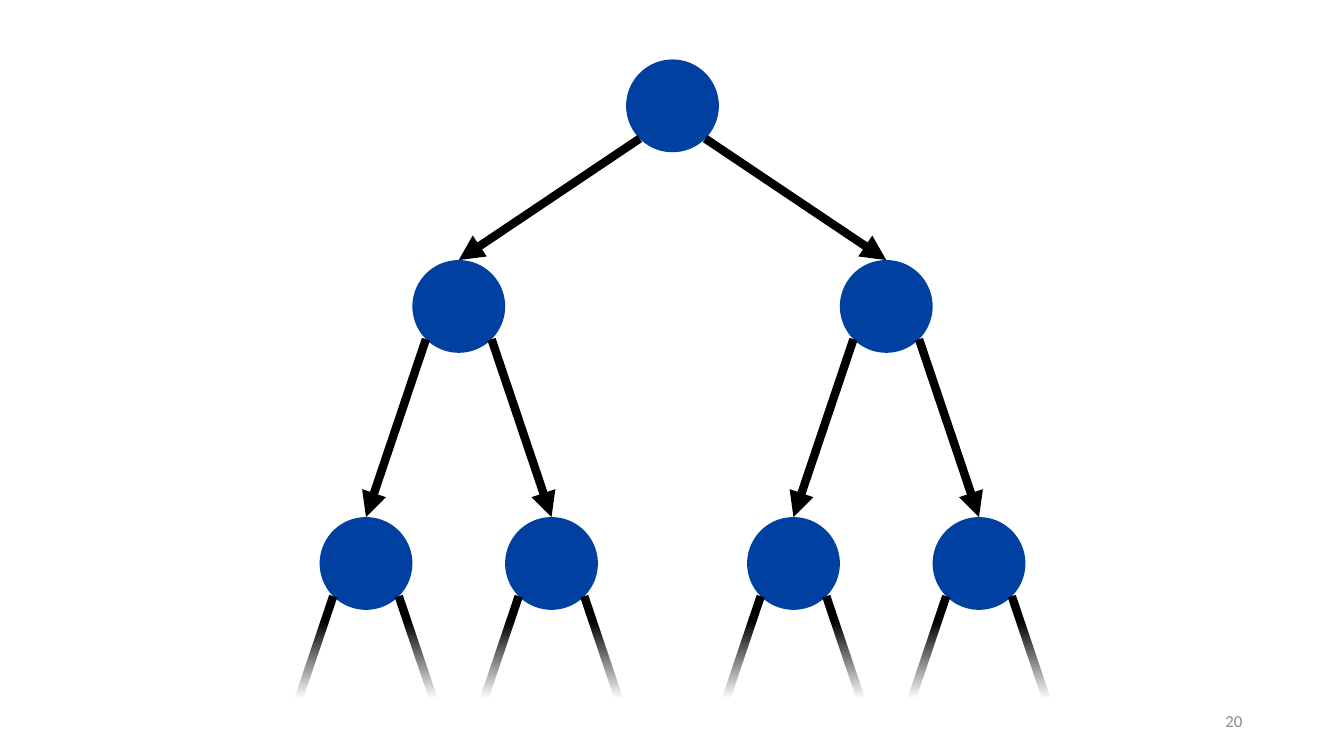
from math import sqrt

from lxml.etree import SubElement
from pptx import Presentation
from pptx.dml.color import RGBColor
from pptx.enum.shapes import MSO_CONNECTOR, MSO_SHAPE
from pptx.enum.text import MSO_ANCHOR, PP_ALIGN
from pptx.oxml.ns import qn
from pptx.util import Inches, Pt

BLUE = RGBColor(0x00, 0x40, 0xA0)
BLACK = RGBColor(0x00, 0x00, 0x00)
WHITE = RGBColor(0xFF, 0xFF, 0xFF)
GRAY = RGBColor(0x8C, 0x8C, 0x8C)

RADIUS = 0.46
LEVEL_HEIGHTS = [1.05, 3.04, 5.59, 8.14]
CHILD_OFFSETS = [2.12, 0.92, 0.92]


class TreeSlide:
    font_name = "Calibri"
    arrow_width = Pt(6)

    def __init__(self, deck):
        self.page = deck.slides.add_slide(deck.slide_layouts[6])

    def add_node(self, x, y):
        node = self.page.shapes.add_shape(
            MSO_SHAPE.OVAL, Inches(x - RADIUS), Inches(y - RADIUS),
            Inches(2 * RADIUS), Inches(2 * RADIUS))
        node.shadow.inherit = False
        node.fill.solid()
        node.fill.fore_color.rgb = BLUE
        node.line.fill.background()

    def add_arrow(self, start_x, start_y, end_x, end_y):
        arrow = self.page.shapes.add_connector(
            MSO_CONNECTOR.STRAIGHT, Inches(start_x), Inches(start_y),
            Inches(end_x), Inches(end_y))
        arrow.line.color.rgb = BLACK
        arrow.line.width = self.arrow_width
        SubElement(arrow.line._get_or_add_ln(), qn("a:tailEnd"), type="triangle")
        SubElement(arrow._element.spPr, qn("a:effectLst"))

    def add_tree(self, x, level=0):
        y = LEVEL_HEIGHTS[level]
        self.add_node(x, y)
        edge = RADIUS / sqrt(2)
        for side in (-1, 1):
            child_x = x + side * CHILD_OFFSETS[level]
            child_top = LEVEL_HEIGHTS[level + 1] - RADIUS
            self.add_arrow(x + side * edge, y + edge, child_x, child_top)
            if level + 1 < len(CHILD_OFFSETS):
                self.add_tree(child_x, level + 1)

    def add_fade(self, left, top, width, height, solid_from):
        fade = self.page.shapes.add_shape(
            MSO_SHAPE.RECTANGLE, Inches(left), Inches(top),
            Inches(width), Inches(height))
        fade.shadow.inherit = False
        fade.line.fill.background()
        fade.fill.gradient()
        fade.fill.gradient_angle = 270
        for stop, position in zip(fade.fill.gradient_stops, (0, solid_from)):
            stop.color.rgb = WHITE
            stop.position = position
        first_color = fade._element.spPr.find(".//" + qn("a:srgbClr"))
        SubElement(first_color, qn("a:alpha"), val="0")

    def add_page_number(self, text, left, top, width, height):
        box = self.page.shapes.add_textbox(
            Inches(left), Inches(top), Inches(width), Inches(height))
        frame = box.text_frame
        frame.word_wrap = True
        frame.vertical_anchor = MSO_ANCHOR.MIDDLE
        frame.text = text
        para = frame.paragraphs[0]
        para.alignment = PP_ALIGN.RIGHT
        span = para.runs[0]
        span.font.name = self.font_name
        span.font.size = Pt(12)
        span.font.color.rgb = GRAY


def main():
    deck = Presentation()
    deck.slide_width = Inches(13.33)
    deck.slide_height = Inches(7.5)
    slide = TreeSlide(deck)
    slide.add_page_number("20", 9.42, 6.95, 3, 0.4)
    slide.add_tree(6.67)
    slide.add_fade(1.88, 6.17, 9.57, 2.07, 0.37)
    deck.save("out.pptx")


if __name__ == "__main__":
    main()
